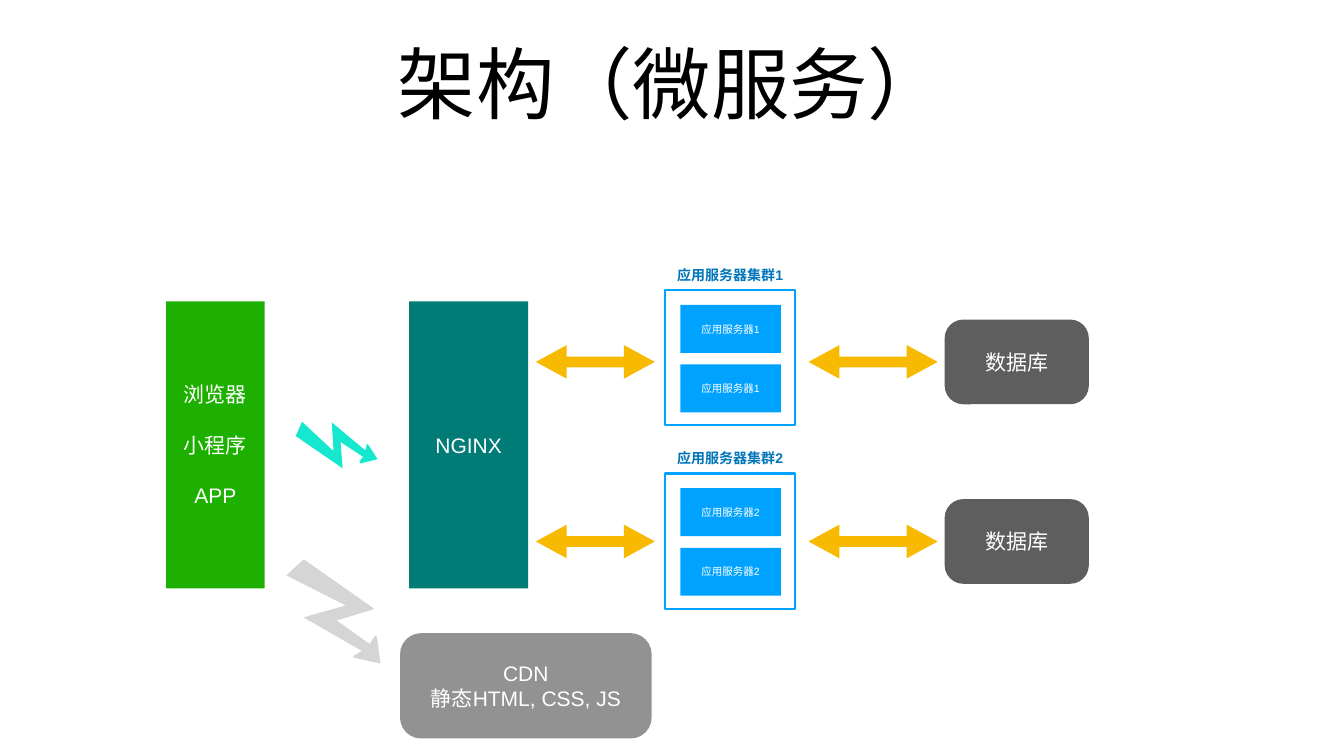
from pptx import Presentation
from pptx import util as u
from pptx.dml.color import RGBColor
from pptx.enum import shapes, text

theme = {
    "font": "Arial",
    "color": {"ink": "000000", "white": "FFFFFF", "client": "1EB001", "proxy": "017B76",
              "server": "00A2FF", "label": "0076BA", "database": "5E5E5E", "cdn": "929292",
              "arrow": "F7BA01", "request": "16E7CF", "static": "D5D5D5"},
    "size": {"title": 112, "body": 30, "label": 20, "server": 15},
}
kind = shapes.MSO_SHAPE


def rgb(name):
    return RGBColor.from_string(theme["color"][name])


def add_box(g, box, lines=(), fill=None, line=None, color="white", size="body",
            bold=False, gap=0, inset=6, adj=()):
    pos = [u.Pt(v) for v in box]
    sp = s.shapes.add_shape(g, *pos) if g else s.shapes.add_textbox(*pos)
    if g:
        sp.shadow.inherit = False
        for i, v in enumerate(adj):
            sp.adjustments[i] = v
        if fill:
            sp.fill.solid()
            sp.fill.fore_color.rgb = rgb(fill)
        else:
            sp.fill.background()
        if line:
            sp.line.color.rgb = rgb(line)
            sp.line.width = u.Pt(3)
        else:
            sp.line.fill.background()
    tf = sp.text_frame
    frame = {"word_wrap": True, "vertical_anchor": text.MSO_ANCHOR.MIDDLE}
    frame |= {f"margin_{side}": u.Pt(inset) for side in ("left", "top", "right", "bottom")}
    for k, v in frame.items():
        setattr(tf, k, v)
    for i, t in enumerate(lines):
        p = tf.paragraphs[0] if i == 0 else tf.add_paragraph()
        p.alignment = text.PP_ALIGN.CENTER
        if i and gap:
            p.space_before = u.Pt(gap)
        r = p.add_run()
        r.text = t
        for k, v in {"name": theme["font"], "size": u.Pt(theme["size"][size]), "bold": bold}.items():
            setattr(r.font, k, v)
        r.font.color.rgb = rgb(color)


prs = Presentation()
prs.slide_width, prs.slide_height = u.Pt(1920), u.Pt(1080)
s = prs.slides.add_slide(prs.slide_layouts[6])

add_box(None, (133, 28, 1654, 180), ["架构（微服务）"], color="ink", size="title", inset=4)
add_box(kind.RECTANGLE, (584.5, 430.5, 170, 410), ["NGINX"], "proxy")
add_box(kind.RECTANGLE, (237.5, 430.5, 140.5, 410), ["浏览器", "小程序", "APP"], "client", gap=36)
add_box(kind.ROUNDED_RECTANGLE, (571.5, 904.5, 359.5, 150.5), ["CDN", "静态HTML, CSS, JS"],
        "cdn", adj=[0.2])

for i in range(2):
    top = 414.5 + 262 * i
    add_box(kind.RECTANGLE, (950.5, top, 185.5, 193), line="server")
    add_box(None, (954.5, top - 40, 177, 36.5), [f"应用服务器集群{i + 1}"], color="label",
            size="label", bold=True, inset=4)
    for j in range(2):
        add_box(kind.RECTANGLE, (972, top + 21 + 85 * j, 143.5, 68.5), [f"应用服务器{i + 1}"],
                "server", size="server")
    mid = 517 + 256.5 * i
    for x, w in ((765.5, 170), (1155, 184.5)):
        add_box(kind.LEFT_RIGHT_ARROW, (x, mid - 24, w, 48), fill="arrow", adj=[0.32, 0.92])
    add_box(kind.ROUNDED_RECTANGLE, (1349.5, mid - 60.5, 206, 121), ["数据库"], "database", adj=[0.22])

bolts = {
    "request": [(422.5, 623), (489.5, 669), (486.5, 631.5), (518.5, 652.5), (513.5, 660),
                (515, 662), (539.5, 656), (525.5, 634.5), (524, 635), (522, 643.5),
                (474, 603.5), (476.5, 644.5), (431.5, 602.5)],
    "static": [(434, 799), (535, 870), (481, 886.5), (528, 920), (535.5, 908.5),
               (538.5, 909.5), (543.5, 948), (505.5, 939.5), (504.5, 937.5), (517, 930),
               (433.5, 882), (494, 865), (409, 822)],
}
for name, pts in bolts.items():
    pts = [(u.Pt(x), u.Pt(y)) for x, y in pts]
    fb = s.shapes.build_freeform(*pts[0])
    fb.add_line_segments(pts[1:], close=True)
    sp = fb.convert_to_shape()
    sp.shadow.inherit = False
    sp.fill.solid()
    sp.fill.fore_color.rgb = rgb(name)
    sp.line.fill.background()

prs.save("out.pptx")
